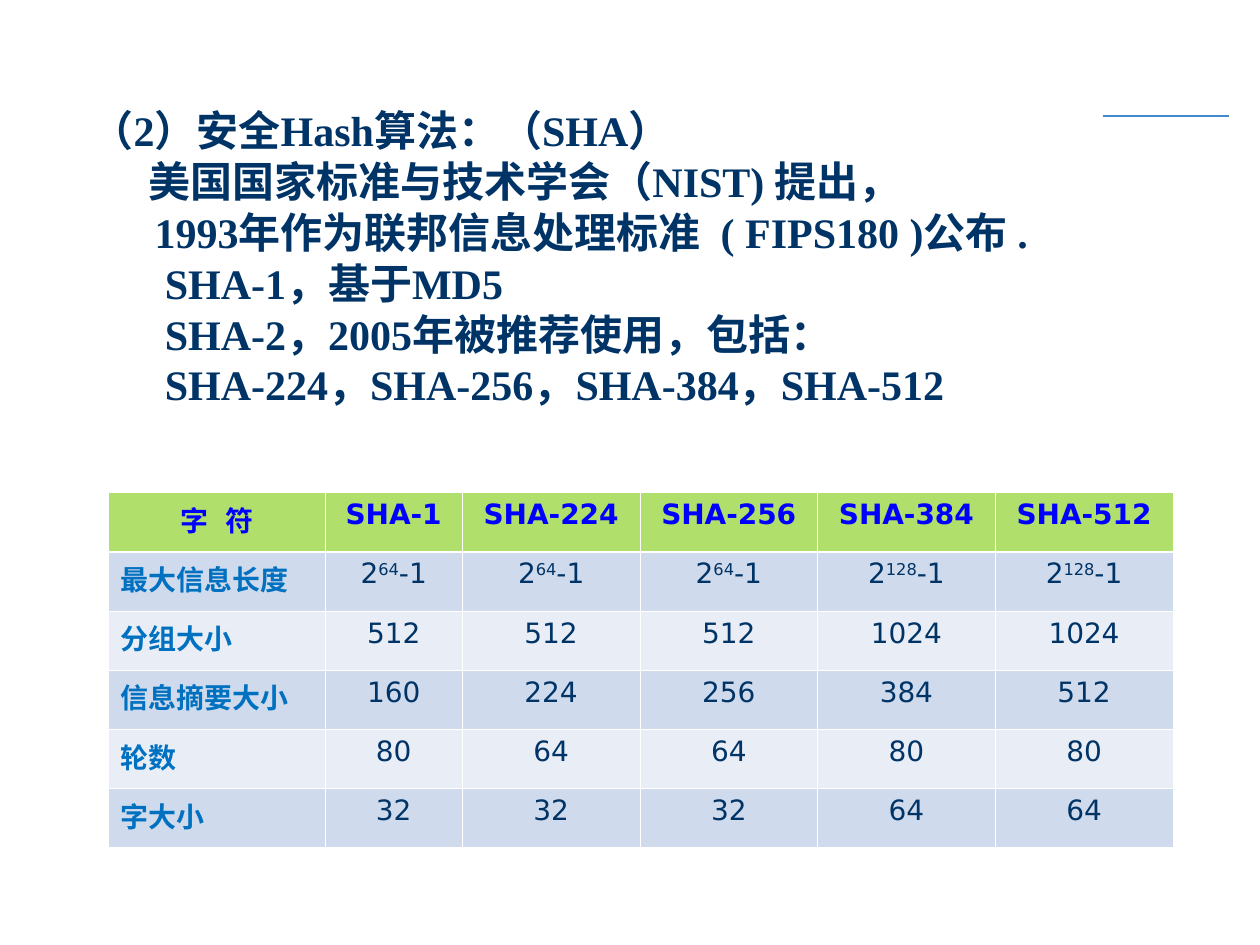
from lxml import etree
from pptx import Presentation
from pptx.dml.color import RGBColor
from pptx.enum.shapes import MSO_CONNECTOR
from pptx.enum.text import PP_ALIGN
from pptx.oxml.ns import qn
from pptx.util import Inches, Pt

STRAIGHT = MSO_CONNECTOR.STRAIGHT
LEFT, CENTER = PP_ALIGN.LEFT, PP_ALIGN.CENTER
GRID_COLUMNS, GRID_ROWS = 100, 75


def color(value):
    return RGBColor.from_string(value)


class SlideBuilder:
    navy, blue, sky = "003366", "0000FF", "0070C0"
    rule, white, header = "438ACB", "FFFFFF", "B1DF6C"
    bands = ("CFDAEC", "E9EDF6")
    serif, sans, chinese = "Times New Roman", "DejaVu Sans", "Noto Sans CJK SC"
    thin, thick = 0.45, 1.47

    def __init__(self, deck):
        self.deck = deck
        self.slide = deck.slides.add_slide(deck.slide_layouts[6])

    def x(self, columns):
        return round(self.deck.slide_width * columns / GRID_COLUMNS)

    def y(self, rows):
        return round(self.deck.slide_height * rows / GRID_ROWS)

    def add_line(self, left, top, right, bottom):
        line = self.slide.shapes.add_connector(
            STRAIGHT, self.x(left), self.y(top), self.x(right), self.y(bottom))
        line.line.color.rgb = color(self.rule)
        line.line.width = Pt(0.75)
        etree.SubElement(line._element.spPr, qn("a:effectLst"))

    def add_spans(self, para, text, font, size, ink, bold):
        for index, piece in enumerate(text.split("|")):
            span = para.add_run()
            span.text = piece
            span.font.name = font
            span.font.size = Pt(size)
            span.font.bold = bold
            span.font.color.rgb = color(ink)
            properties = span.font._element
            etree.SubElement(properties, qn("a:ea"), typeface=self.chinese)
            if piece == " ":
                properties.set("spc", "600")
            elif index % 2:
                properties.set("baseline", "30000")

    def add_paragraphs(self, left, top, width, height, lines):
        box = self.slide.shapes.add_textbox(
            self.x(left), self.y(top), self.x(width), self.y(height))
        frame = box.text_frame
        frame.word_wrap = True
        for index, (indent, text) in enumerate(lines):
            para = frame.add_paragraph() if index else frame.paragraphs[0]
            para.line_spacing = 0.8
            para.space_before = Pt(6 if index else 0)
            properties = para._p.get_or_add_pPr()
            properties.set("marL", str(self.x(3.8)))
            properties.set("indent", str(self.x(indent - 3.8)))
            self.add_spans(para, text, self.serif, 24, self.navy, True)

    def add_borders(self, cell, row):
        widths = {"L": self.thin, "R": self.thin,
                  "T": self.thick if row == 1 else self.thin,
                  "B": self.thick if row == 0 else self.thin}
        properties = cell._tc.get_or_add_tcPr()
        for index, (side, width) in enumerate(widths.items()):
            border = etree.Element(qn(f"a:ln{side}"), w=str(Pt(width)))
            fill = etree.SubElement(border, qn("a:solidFill"))
            etree.SubElement(fill, qn("a:srgbClr"), val=self.white)
            properties.insert(index, border)

    def add_table(self, left, top, widths, row_height, rows):
        table = self.slide.shapes.add_table(
            len(rows), len(widths), self.x(left), self.y(top),
            self.x(sum(widths)), self.y(row_height * len(rows))).table
        for column, width in zip(table.columns, widths):
            column.width = self.x(width)
        for row, values in enumerate(rows):
            table.rows[row].height = self.y(row_height)
            for column, text in enumerate(values):
                cell = table.cell(row, column)
                cell.fill.solid()
                cell.fill.fore_color.rgb = color(
                    self.bands[(row - 1) % 2] if row else self.header)
                self.add_borders(cell, row)
                is_label = column == 0
                para = cell.text_frame.paragraphs[0]
                para.alignment = LEFT if is_label and row else CENTER
                ink = self.sky if is_label else self.navy
                self.add_spans(
                    para, text, self.chinese if is_label else self.sans,
                    16, ink if row else self.blue, is_label or row == 0)


def main():
    deck = Presentation()
    deck.slide_width, deck.slide_height = Inches(10), Inches(7.5)
    page = SlideBuilder(deck)
    page.add_line(87.5, 9.2, 97.5, 9.2)
    page.add_paragraphs(6.3, 8.6, 83.6, 26.6, [
        (0, "（2）安全Hash算法：（SHA）"),
        (4.5, "美国国家标准与技术学会（NIST) 提出，"),
        (5, "1993年作为联邦信息处理标准| |( FIPS180 )公布 ."),
        (5.8, "SHA-1，基于MD5"),
        (5.8, "SHA-2，2005年被推荐使用，包括："),
        (5.8, "SHA-224，SHA-256，SHA-384，SHA-512"),
    ])
    page.add_table(8.6, 39.1, [17.2, 10.9] + [14.1] * 4, 4.7, [
        ["字| |符", "SHA-1", "SHA-224", "SHA-256", "SHA-384", "SHA-512"],
        ["最大信息长度"] + ["2|64|-1"] * 3 + ["2|128|-1"] * 2,
        ["分组大小", "512", "512", "512", "1024", "1024"],
        ["信息摘要大小", "160", "224", "256", "384", "512"],
        ["轮数", "80", "64", "64", "80", "80"],
        ["字大小", "32", "32", "32", "64", "64"],
    ])
    deck.save("out.pptx")


if __name__ == "__main__":
    main()
